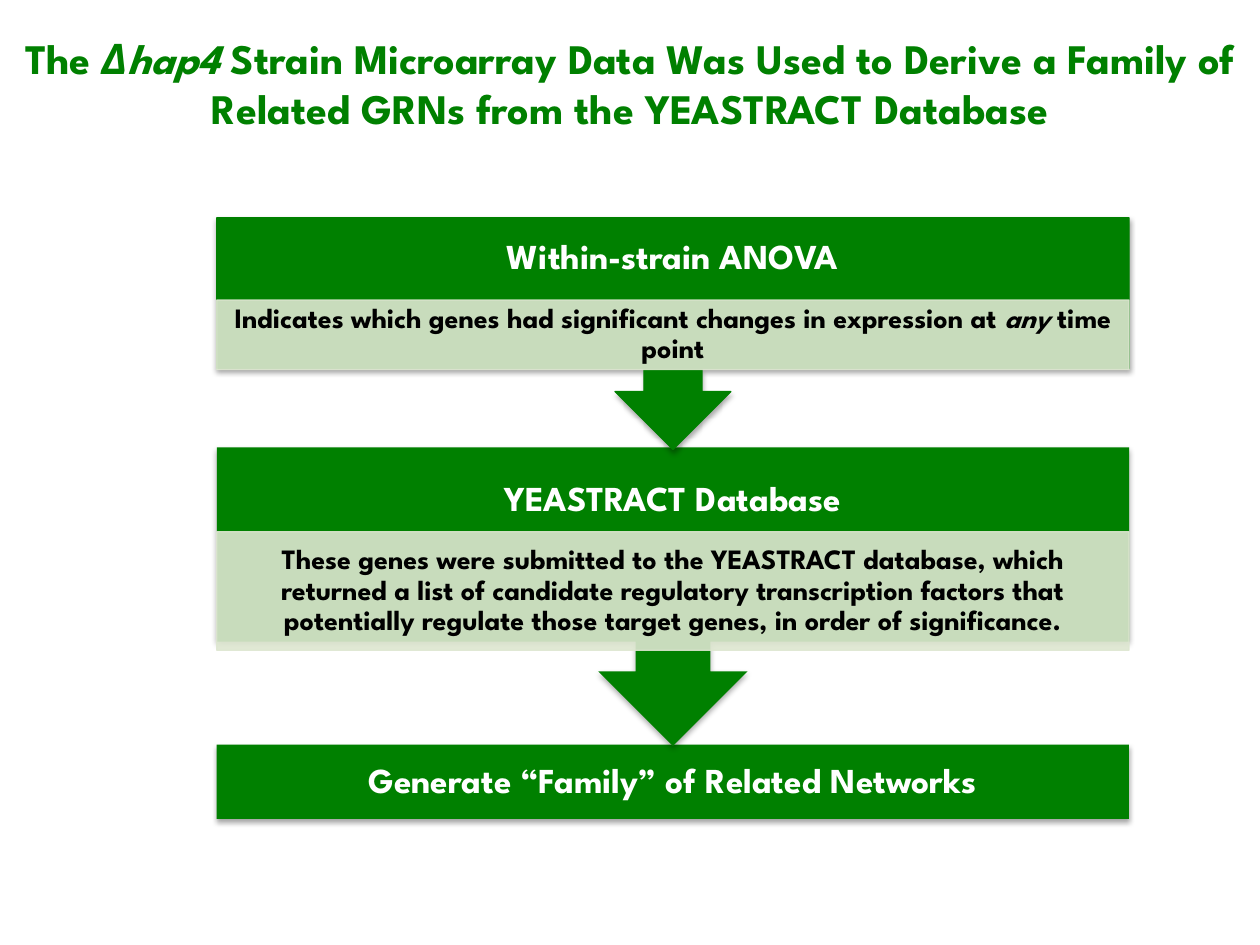
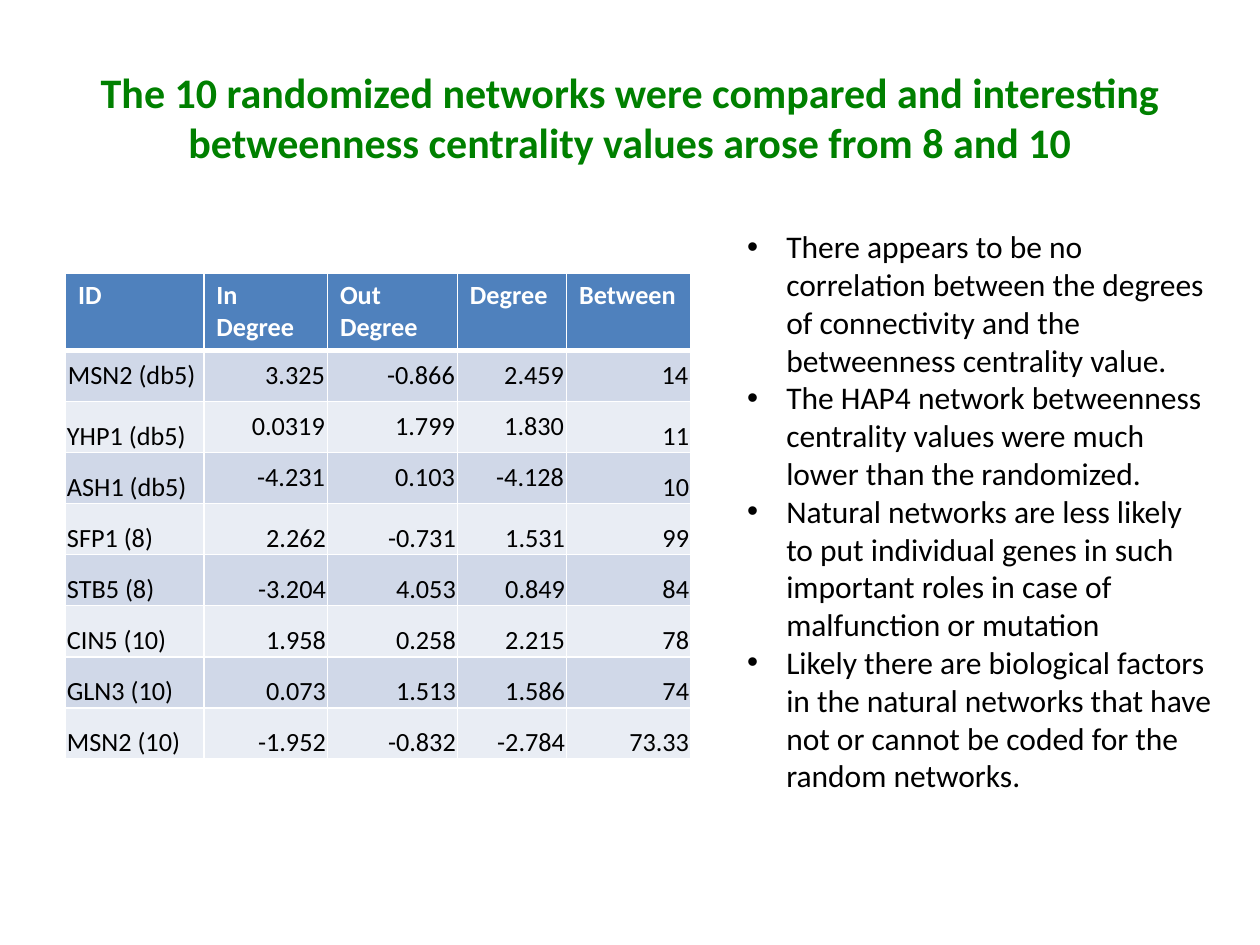
from lxml import etree
from pptx import Presentation
from pptx.dml.color import RGBColor
from pptx.enum.shapes import MSO_SHAPE as Shape
from pptx.enum.text import MSO_ANCHOR as Anchor, MSO_AUTO_SIZE as AutoSize, PP_ALIGN as Align
from pptx.oxml import parse_xml
from pptx.oxml.ns import nsdecls, qn
from pptx.util import Cm, Pt

COLORS = {
    "green": "008000",
    "pale": "DEE7D1",
    "white": "FFFFFF",
    "black": "000000",
    "header": "4F81BD",
    "odd": "D0D8E8",
    "even": "E9EDF4",
}
SPARTAN = "League Spartan"
CALIBRI = "Calibri"


def write(frame, *texts, font=CALIBRI, size=18, color="black", bold=False, align=Align.LEFT,
          anchor=Anchor.TOP, insets=(0.25, 0.13, 0.25, 0.13), spacing=None, bullet=None):
    frame.word_wrap = True
    frame.vertical_anchor = anchor
    frame.margin_left, frame.margin_top, frame.margin_right, frame.margin_bottom = map(Cm, insets)
    for index, text in enumerate(texts):
        paragraph = frame.add_paragraph() if index else frame.paragraphs[0]
        if bullet:
            properties = paragraph._p.get_or_add_pPr()
            properties.set("marL", str(Cm(0.79)))
            properties.set("indent", str(Cm(-0.79)))
            etree.SubElement(properties, qn("a:buFont")).set("typeface", "Arial")
            etree.SubElement(properties, qn("a:buChar")).set("char", bullet)
        paragraph.alignment = align
        paragraph.space_before = Pt(0)
        if spacing:
            paragraph.line_spacing = spacing
        for part, words in enumerate(text.split("*")):
            run = paragraph.add_run()
            run.text = words
            run.font.name = font
            run.font.size = Pt(size)
            run.font.bold = bold
            run.font.italic = part % 2 == 1
            run.font.color.rgb = RGBColor.from_string(COLORS[color])


def add_block(shapes, kind, top, height, color, shadow=False, line=False, alpha=None):
    block = shapes.add_shape(kind, BLOCK_LEFT, Cm(top), BLOCK_WIDTH, Cm(height))
    block.shadow.inherit = False
    block.fill.solid()
    block.fill.fore_color.rgb = RGBColor.from_string(COLORS[color])
    if line:
        block.line.color.rgb = RGBColor.from_string(COLORS[color])
        block.line.width = Pt(0.75)
    else:
        block.line.fill.background()
    if alpha:
        for fill_color in block._element.spPr.iter(qn("a:srgbClr")):
            etree.SubElement(fill_color, qn("a:alpha")).set("val", str(alpha * 1000))
    if shadow:
        block._element.spPr.find(qn("a:effectLst")).append(parse_xml(
            f'<a:outerShdw {nsdecls("a")} blurRad="40000" dist="23000" dir="5400000" rotWithShape="0">'
            f'<a:srgbClr val="{COLORS["black"]}"><a:alpha val="35000"/></a:srgbClr></a:outerShdw>'))
    return block


presentation = Presentation()
presentation.slide_width = Cm(25.4)
presentation.slide_height = Cm(19.05)

titles = [
    (5, "The *Δhap4 *Strain Microarray Data Was Used to Derive a Family of Related GRNs "
        "from the YEASTRACT Database", SPARTAN, (0, 0.08, 25.4, 3.18)),
    (1, "The 10 randomized networks were compared and interesting betweenness centrality "
        "values arose from 8 and 10", CALIBRI, (1.27, 0.76, 22.86, 3.18)),
]
for layout, text, font, box in titles:
    slide = presentation.slides.add_slide(presentation.slide_layouts[layout])
    title = slide.shapes.title
    title.left, title.top, title.width, title.height = map(Cm, box)
    title.text_frame.auto_size = AutoSize.NONE
    write(title.text_frame, text, font=font, size=24, color="green", bold=True,
          align=Align.CENTER, anchor=Anchor.MIDDLE)
flow_slide, results_slide = presentation.slides

BLOCK_LEFT, BLOCK_WIDTH = Cm(4.37), Cm(18.39)
centered = dict(font=SPARTAN, bold=True, align=Align.CENTER, anchor=Anchor.MIDDLE, spacing=0.9)
heading = dict(centered, size=20, color="white", insets=(0.41,) * 4)
detail = dict(centered, size=16, insets=(0.3, 0.05, 0.3, 0.05))

final_step = add_block(flow_slide.shapes, Shape.RECTANGLE, 15.01, 1.5, "green", shadow=True)
write(final_step.text_frame, "Generate “Family” of Related Networks", **heading)

steps = [
    ("YEASTRACT Database", 9.02, 6.02, 2.11, False,
     "These genes were submitted to the YEASTRACT database, which returned a list of candidate "
     "regulatory transcription factors that potentially regulate those target genes, "
     "in order of significance.", 10.72, 2.39),
    ("Within-strain ANOVA", 4.39, 4.67, 1.63, True,
     "Indicates which genes had significant changes in expression at *any* time point", 6.05, 1.4),
]
for name, top, height, name_height, line, explanation, detail_top, detail_height in steps:
    callout = add_block(flow_slide.shapes, Shape.UP_ARROW_CALLOUT, top, height, "green",
                        shadow=True, line=line)
    callout.rotation = 180
    name_box = flow_slide.shapes.add_textbox(BLOCK_LEFT, Cm(top), BLOCK_WIDTH, Cm(name_height))
    write(name_box.text_frame, name, **heading)
    panel = add_block(flow_slide.shapes, Shape.RECTANGLE, detail_top, detail_height, "pale",
                      line=True, alpha=90)
    write(panel.text_frame, explanation, **detail)

centrality = [
    ("ID", "In Degree", "Out Degree", "Degree", "Between"),
    ("MSN2 (db5)", "3.325", "-0.866", "2.459", "14"),
    ("YHP1 (db5)", "0.0319", "1.799", "1.830", "11"),
    ("ASH1 (db5)", "-4.231", "0.103", "-4.128", "10"),
    ("SFP1 (8)", "2.262", "-0.731", "1.531", "99"),
    ("STB5 (8)", "-3.204", "4.053", "0.849", "84"),
    ("CIN5 (10)", "1.958", "0.258", "2.215", "78"),
    ("GLN3 (10)", "0.073", "1.513", "1.586", "74"),
    ("MSN2 (10)", "-1.952", "-0.832", "-2.784", "73.33"),
]
table = results_slide.shapes.add_table(
    len(centrality), 5, Cm(1.32), Cm(5.51), Cm(12.6), Cm(9.76)).table
table.horz_banding = False
for column, width in zip(table.columns, (2.79, 2.49, 2.62, 2.2, 2.5)):
    column.width = Cm(width)
for row_index, values in enumerate(centrality):
    table.rows[row_index].height = Cm(1.03 if row_index else 1.52)
    for column_index, value in enumerate(values):
        cell = table.cell(row_index, column_index)
        for side in "LRTB":
            thick = (row_index, side) in ((0, "B"), (1, "T"))
            cell._tc.get_or_add_tcPr().append(parse_xml(
                f'<a:ln{side} {nsdecls("a")} w="{Pt(3 if thick else 1)}"><a:solidFill>'
                f'<a:srgbClr val="{COLORS["white"]}"/></a:solidFill></a:ln{side}>'))
        cell.fill.solid()
        if row_index == 0:
            fill = "header"
            style = dict(color="white", bold=True)
        else:
            fill = "odd" if row_index % 2 else "even"
            middle = row_index == 1 or (row_index < 4 and 0 < column_index < 4)
            cell.vertical_anchor = Anchor.MIDDLE if middle else Anchor.BOTTOM
            style = dict(align=Align.RIGHT if column_index else Align.LEFT)
            insets = (0.05,) * 4 if middle else (0.03, 0.03, 0.03, 0)
            cell.margin_left, cell.margin_top, cell.margin_right, cell.margin_bottom = map(Cm, insets)
        cell.fill.fore_color.rgb = RGBColor.from_string(COLORS[fill])
        paragraph = cell.text_frame.paragraphs[0]
        paragraph.alignment = style.get("align", Align.LEFT)
        run = paragraph.add_run()
        run.text = value
        run.font.name = CALIBRI
        run.font.size = Pt(15)
        run.font.bold = style.get("bold", False)
        run.font.color.rgb = RGBColor.from_string(COLORS[style.get("color", "black")])

findings = results_slide.placeholders[1]
findings.left, findings.top, findings.width, findings.height = map(Cm, (14.81, 4.45, 9.91, 11.79))
findings.text_frame.auto_size = AutoSize.NONE
write(findings.text_frame,
      "There appears to be no correlation between the degrees of connectivity and the "
      "betweenness centrality value.",
      "The HAP4 network betweenness centrality values were much lower than the randomized.",
      "Natural networks are less likely to put individual genes in such important roles in case "
      "of malfunction or mutation",
      "Likely there are biological factors in the natural networks that have not or cannot be "
      "coded for the random networks.",
      bullet="•")

presentation.save("out.pptx")
